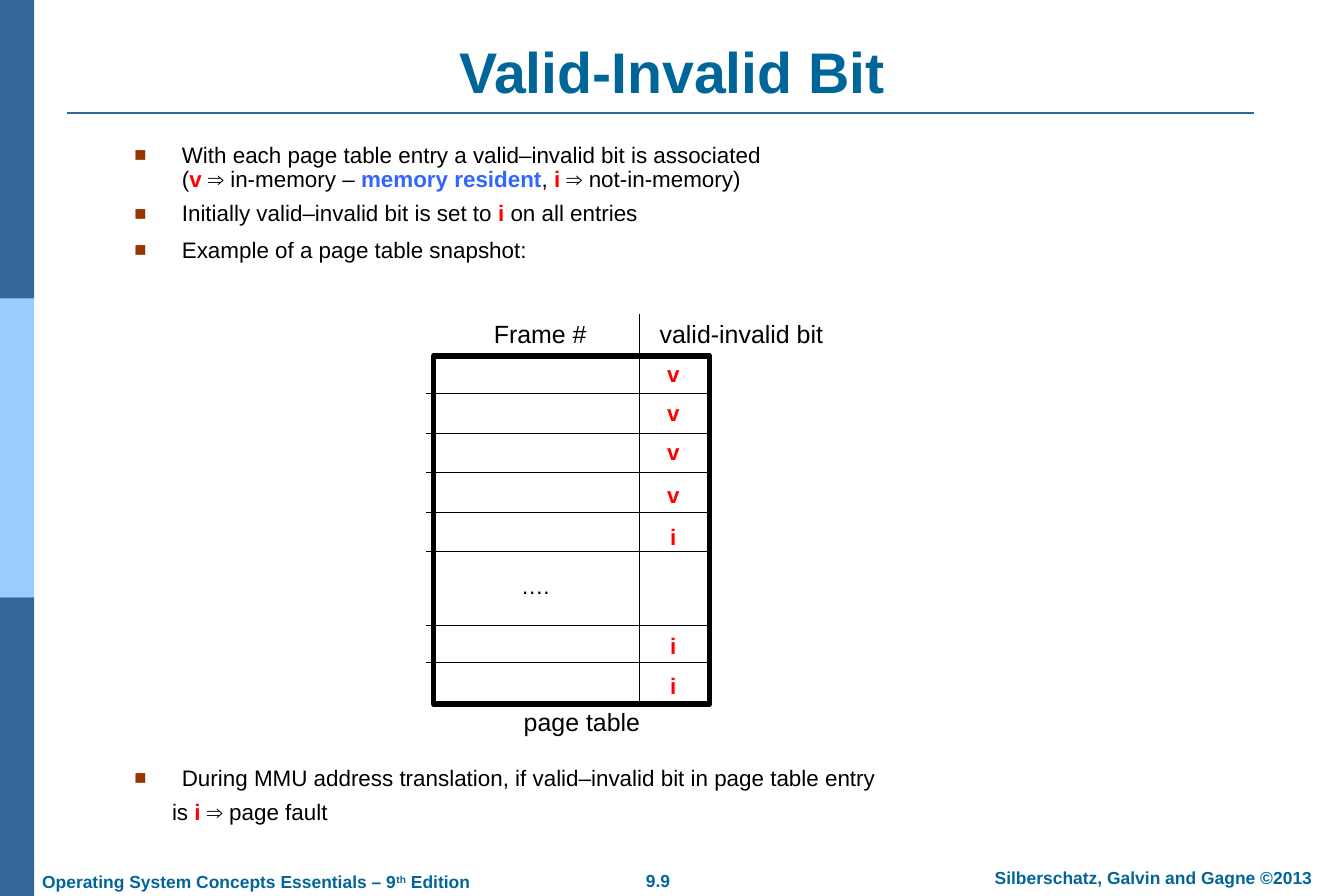
from lxml.etree import SubElement
from pptx import Presentation
from pptx.dml.color import RGBColor
from pptx.enum.shapes import MSO_CONNECTOR as Connector, MSO_SHAPE as Shape
from pptx.enum.text import MSO_ANCHOR as Anchor, PP_ALIGN as Align
from pptx.oxml.ns import qn
from pptx.util import Inches, Pt

NAVY, SKY, TEAL = "336699", "99CCFF", "006699"
BLACK, WHITE, RED, BLUE, RUST = "000000", "FFFFFF", "FF0000", "3366FF", "993300"


def color(value):
    return RGBColor.from_string(value)


def add_text(paragraph, text, size=18, fill=BLACK, bold=False, raised=False):
    run = paragraph.add_run()
    run.text = text
    run.font.name = "Arial"
    run.font.size = Pt(size)
    run.font.bold = bold
    run.font.color.rgb = color(fill)
    if raised:
        run.font._element.set("baseline", "30000")


def add_bullet(paragraph):
    properties = paragraph._p.get_or_add_pPr()
    bullet_color = SubElement(properties, qn("a:buClr"))
    SubElement(bullet_color, qn("a:srgbClr"), val=RUST)
    SubElement(properties, qn("a:buSzPct"), val="90000")
    SubElement(properties, qn("a:buFont"), typeface="Arial")
    SubElement(properties, qn("a:buChar"), char="■")


class SlideBuilder:
    def __init__(self, slide):
        self.slide = slide

    def rectangle(self, left, top, width, height, fill, line_width=0):
        shape = self.slide.shapes.add_shape(
            Shape.RECTANGLE, Inches(left), Inches(top), Inches(width), Inches(height))
        shape.shadow.inherit = False
        shape.fill.solid()
        shape.fill.fore_color.rgb = color(fill)
        if line_width:
            shape.line.color.rgb = color(BLACK)
            shape.line.width = Pt(line_width)
        else:
            shape.line.fill.background()

    def line(self, x1, y1, x2, y2, fill=BLACK, width=0.75):
        connector = self.slide.shapes.add_connector(
            Connector.STRAIGHT, Inches(x1), Inches(y1), Inches(x2), Inches(y2))
        connector.line.color.rgb = color(fill)
        connector.line.width = Pt(width)
        SubElement(connector._element.spPr, qn("a:effectLst"))

    def frame(self, left, top, width, height, anchor=Anchor.TOP, wrap=False):
        """Add a text box and return its text frame."""
        box = self.slide.shapes.add_textbox(
            Inches(left), Inches(top), Inches(width), Inches(height))
        frame = box.text_frame
        frame.word_wrap = wrap
        frame.vertical_anchor = anchor
        frame.margin_left = frame.margin_right = Inches(0.14)
        frame.margin_top = frame.margin_bottom = Inches(0.07)
        return frame

    def label(self, left, top, width, height, text, anchor=Anchor.MIDDLE, **style):
        paragraph = self.frame(left, top, width, height, anchor).paragraphs[0]
        paragraph.alignment = Align.CENTER
        add_text(paragraph, text, **style)

    def body(self, left, top, width, height, items):
        """Add a text box of (space before, bulleted, lines of runs) items."""
        frame = self.frame(left, top, width, height, wrap=True)
        for index, (space, bulleted, lines) in enumerate(items):
            paragraph = frame.add_paragraph() if index else frame.paragraphs[0]
            paragraph.line_spacing = 0.9
            paragraph.space_before = Pt(space)
            properties = paragraph._p.get_or_add_pPr()
            properties.set("marL", str(Inches(0.53 if bulleted else 0.42)))
            properties.set("indent", str(Inches(-0.53 if bulleted else 0)))
            if bulleted:
                add_bullet(paragraph)
            for number, runs in enumerate(lines):
                if number:
                    paragraph.add_line_break()
                for text, style in runs:
                    add_text(paragraph, text, **style)


def add_background(builder):
    band = 10 / 3
    for index, fill in enumerate((NAVY, SKY, NAVY)):
        builder.rectangle(0, index * band, 0.38, band, fill)
    builder.line(0.75, 1.26, 14, 1.26, NAVY, 1.5)

    footer = {"size": 14, "fill": TEAL, "bold": True}
    builder.label(6.65, 9.64, 1.39, 0.38, "9.9", Anchor.TOP, **footer)
    builder.label(10.75, 9.61, 4.25, 0.38, "Silberschatz, Galvin and Gagne ©2013",
                  Anchor.TOP, **footer)
    edition = builder.frame(0.33, 9.65, 5.06, 0.38).paragraphs[0]
    add_text(edition, "Operating System Concepts Essentials – 9", **footer)
    add_text(edition, "th", raised=True, **footer)
    add_text(edition, " Edition", **footer)


def add_bullets(builder):
    plain, red = {}, {"fill": RED, "bold": True}
    key_term = {"fill": BLUE, "bold": True}
    builder.body(1.36, 1.54, 12.76, 1.5, [
        (0, True, [
            [("With each page table entry a valid–invalid bit is associated", plain)],
            [("(", plain), ("v ", red), ("⇒ in-memory – ", plain),
             ("memory resident", key_term), (", ", plain), ("i ", red),
             ("⇒ not-in-memory)", plain)]]),
        (7.9, True, [[("Initially valid–invalid bit is set to", plain),
                      (" i ", red), ("on all entries", plain)]]),
        (10, True, [[("Example of a page table snapshot:", plain)]])])
    builder.body(1.36, 8.49, 12.76, 0.9, [
        (0, True, [[("During MMU address translation, if valid–invalid bit "
                     "in page table entry", plain)]]),
        (7.9, False, [[("is", plain), (" i ", red), ("⇒ page fault", plain)]])])


def add_page_table(builder):
    builder.rectangle(4.84, 3.97, 3.08, 3.89, WHITE, 4.5)
    upper_rows = [4.39 + 0.4425 * row for row in range(5)]
    for y in upper_rows + [6.98, 7.39]:
        builder.line(4.76, y, 7.89, y)
    builder.line(7.14, 3.5, 7.14, 7.83)

    bit_tops = (3.95, 4.38, 4.82, 5.3, 5.77, 6.99, 7.43)
    for bit, top in zip("vvvviii", bit_tops):
        builder.label(7.3, top, 0.43, 0.44, bit, fill=RED, bold=True)
    builder.label(5.67, 6.32, 0.61, 0.44, "….")
    builder.label(5.37, 3.48, 1.32, 0.48, "Frame #", size=20)
    builder.label(7.22, 3.48, 2.11, 0.48, "valid-invalid bit", size=20)
    builder.label(5.7, 7.81, 1.59, 0.48, "page table", size=20)


def main():
    presentation = Presentation()
    presentation.slide_width = Inches(15)
    presentation.slide_height = Inches(10)
    builder = SlideBuilder(presentation.slides.add_slide(presentation.slide_layouts[6]))
    add_background(builder)
    builder.label(0.75, 0.4, 13.5, 0.84, "Valid-Invalid Bit", Anchor.BOTTOM,
                  size=46, fill=TEAL, bold=True)
    add_bullets(builder)
    add_page_table(builder)
    presentation.save("out.pptx")


if __name__ == "__main__":
    main()
